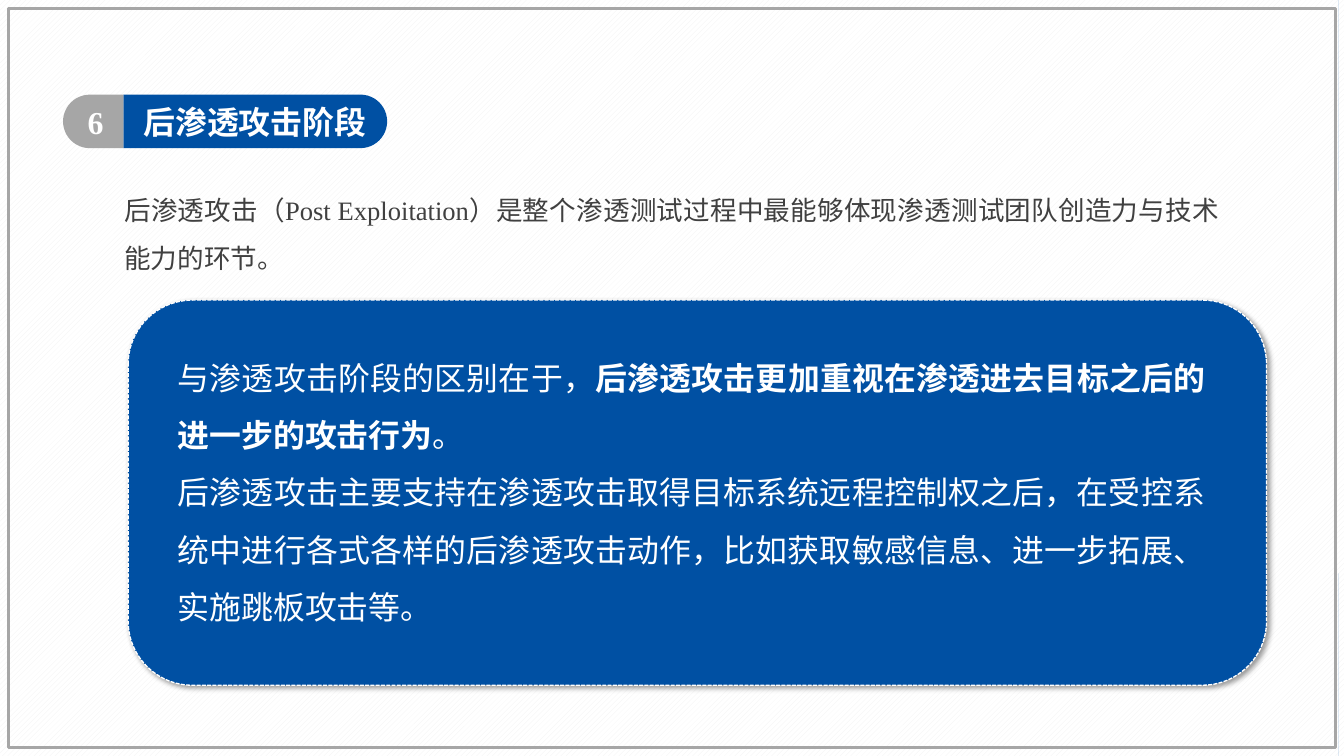
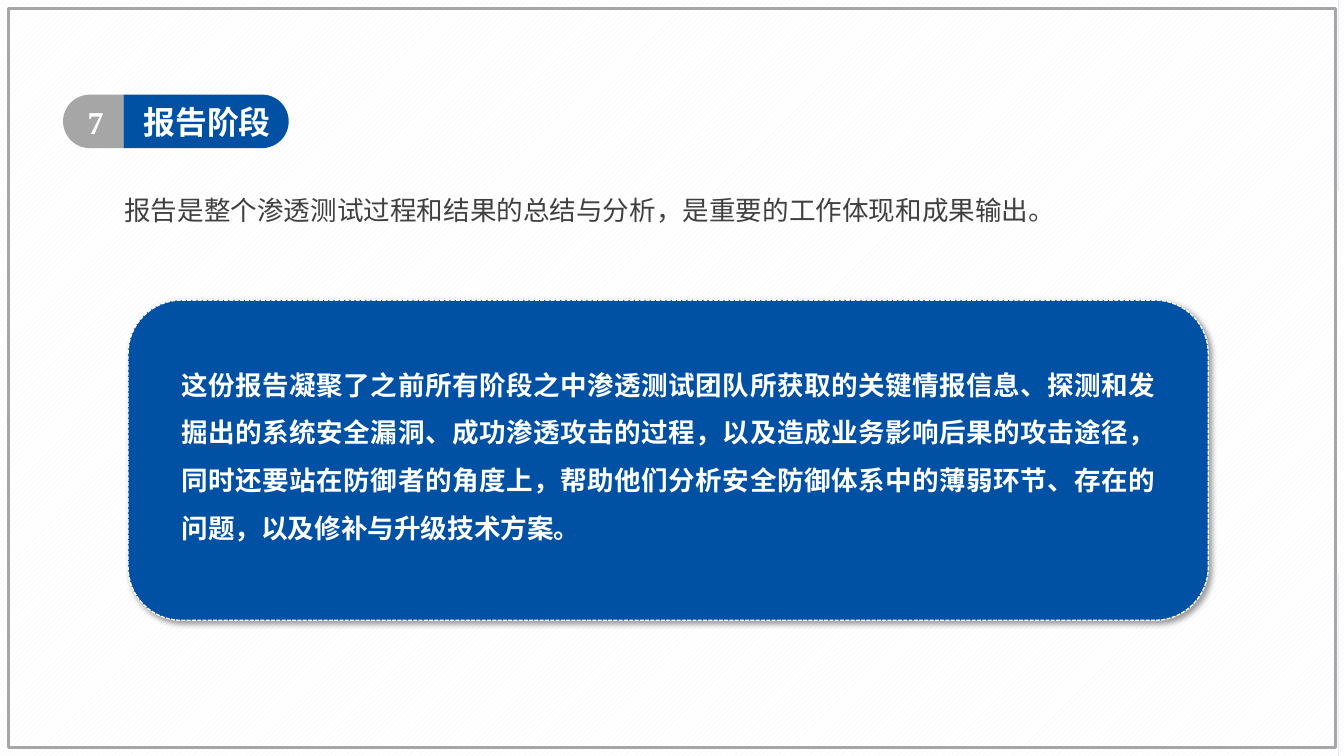
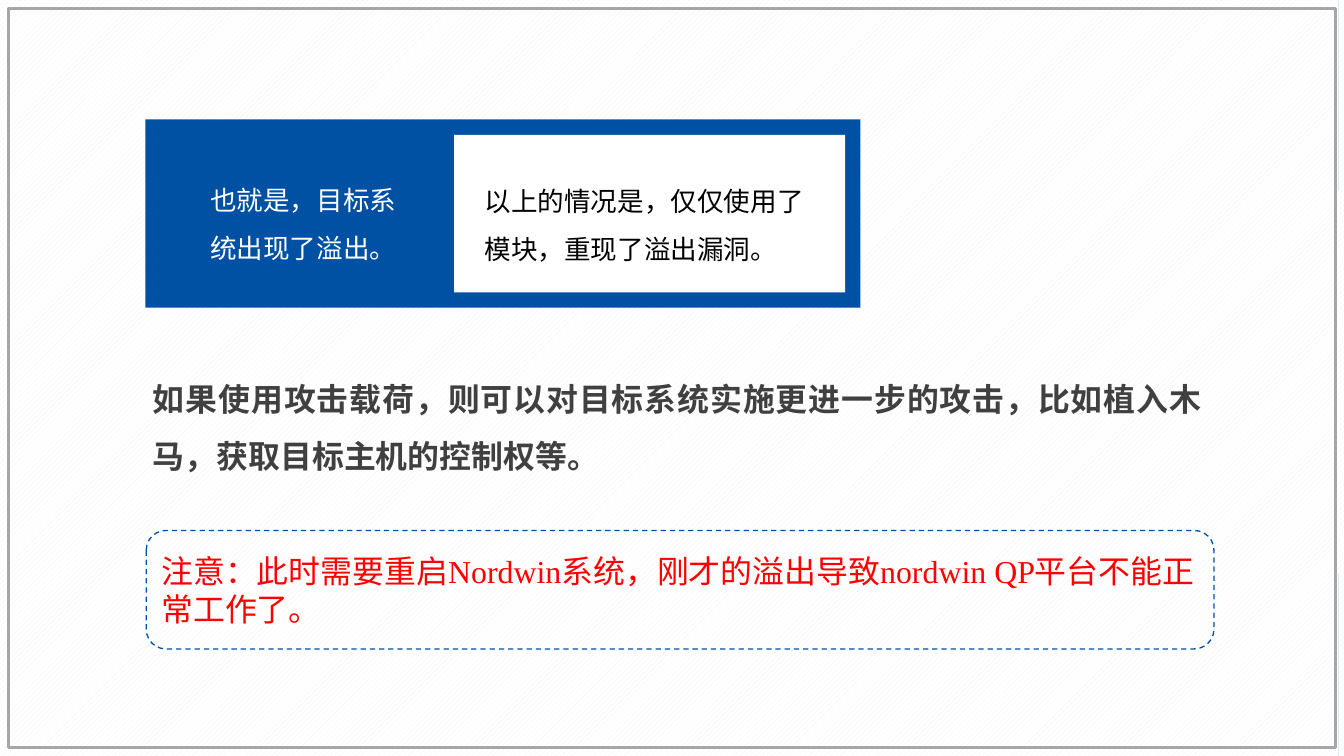
from lxml.etree import SubElement
from pptx import Presentation
from pptx.dml.color import RGBColor
from pptx.enum.dml import MSO_LINE, MSO_PATTERN
from pptx.enum.shapes import MSO_SHAPE
from pptx.enum.text import MSO_ANCHOR, MSO_AUTO_SIZE, PP_ALIGN
from pptx.oxml.ns import qn
from pptx.util import Inches, Pt

BLUE = RGBColor(0x00, 0x50, 0xA3)
GRAY = RGBColor(0xA6, 0xA6, 0xA6)
STRIPE = RGBColor(0xF2, 0xF2, 0xF2)
DARK = RGBColor(0x40, 0x40, 0x40)
WHITE = RGBColor(0xFF, 0xFF, 0xFF)
BLACK = RGBColor(0x00, 0x00, 0x00)
RED = RGBColor(0xFF, 0x00, 0x00)

WIDTH, HEIGHT = 14.06, 7.91
SERIF, SANS = "Times New Roman", "Noto Sans CJK SC"
CORNER = [(0, 0), (2.39, 0), (2.27, 0.12), (0.12, 0.12), (0.12, 1.6), (0, 1.71)]

BADGE_BOX = (0.66, 0.99, 0.63, 0.56)
BADGE_INSETS = (0.15, 0.08)
BODY_INSETS = (0.1, 0.05)
HEADING = {"size": Pt(24), "bold": True, "name": SERIF}
SERIF_TEXT = {"size": Pt(20), "bold": False, "name": SERIF}
SANS_TEXT = {"size": Pt(20), "bold": False, "name": SANS}
SINGLE = {"alignment": PP_ALIGN.LEFT, "line_spacing": 1.0, "space_before": Pt(0)}
LOOSE = {**SINGLE, "line_spacing": 1.5}
JUSTIFIED = {**LOOSE, "alignment": PP_ALIGN.JUSTIFY}


def set_attributes(target, values):
    """Set each named attribute of the target."""
    for name, value in values.items():
        setattr(target, name, value)


def place(shape, box):
    """Move and size a shape to a box in inches."""
    names = ("left", "top", "width", "height")
    set_attributes(shape, dict(zip(names, map(Inches, box))))


def write(shape, paragraphs, font, color, layout, insets=BODY_INSETS, anchor=MSO_ANCHOR.TOP):
    """Fill a shape with paragraphs, each a list of (text, bold) runs or one string."""
    frame = shape.text_frame
    side, end = map(Inches, insets)
    set_attributes(frame, {
        "word_wrap": True, "auto_size": MSO_AUTO_SIZE.NONE, "vertical_anchor": anchor,
        "margin_left": side, "margin_right": side, "margin_top": end, "margin_bottom": end,
    })
    for index, runs in enumerate(paragraphs):
        paragraph = frame.paragraphs[0] if index == 0 else frame.add_paragraph()
        set_attributes(paragraph, layout)
        for text, bold in [(runs, font["bold"])] if isinstance(runs, str) else runs:
            run = paragraph.add_run()
            run.text = text
            set_attributes(run.font, {**font, "bold": bold})
            run.font.color.rgb = color
            properties = run._r.get_or_add_rPr()
            properties.set("lang", "zh-CN")
            SubElement(properties, qn("a:ea")).set("typeface", SANS)


def add_text(slide, box, paragraphs, font, color, layout, insets=BODY_INSETS):
    """Add a text box."""
    shape = slide.shapes.add_textbox(*map(Inches, box))
    write(shape, paragraphs, font, color, layout, insets)


def paint(shape, fill=None, line=None):
    """Give a shape a flat fill and an outline of (color, points, dash)."""
    shape.shadow.inherit = False
    if fill is None:
        shape.fill.background()
    else:
        shape.fill.solid()
        shape.fill.fore_color.rgb = fill
    if line is None:
        shape.line.fill.background()
    else:
        color, points, dash = line
        shape.line.color.rgb = color
        set_attributes(shape.line, {"width": Pt(points), "dash_style": dash})


def add_panel(slide, kind, box, fill=None, line=None):
    """Add a painted preset shape."""
    shape = slide.shapes.add_shape(kind, *map(Inches, box))
    paint(shape, fill, line)
    return shape


def decorate_master(master, slide):
    """Give the master its striped background, thin frame and four corners."""
    fill = master.background.fill
    fill.patterned()
    fill.pattern = MSO_PATTERN.WIDE_UPWARD_DIAGONAL
    fill.fore_color.rgb, fill.back_color.rgb = STRIPE, WHITE
    frame_box = (0.09, 0.09, WIDTH - 0.18, HEIGHT - 0.18)
    parts = [add_panel(slide, MSO_SHAPE.RECTANGLE, frame_box, line=(GRAY, 2, MSO_LINE.SOLID))]
    for right in (False, True):
        for bottom in (False, True):
            points = [(WIDTH - x if right else x, HEIGHT - y if bottom else y) for x, y in CORNER]
            builder = slide.shapes.build_freeform(*points[0], scale=Inches(1))
            builder.add_line_segments(points[1:], close=True)
            corner = builder.convert_to_shape()
            paint(corner, BLUE)
            parts.append(corner)
    for index, part in enumerate(parts, start=2):
        master.shapes.element.insert(index, part.element)


def add_half_pill(slide, box, rotation, fill):
    """Add a bar rounded at one end, turned to lie in the box."""
    left, top, width, height = box
    turned = (left + (width - height) / 2, top + (height - width) / 2, height, width)
    shape = add_panel(slide, MSO_SHAPE.ROUND_2_SAME_RECTANGLE, turned, fill)
    shape.rotation = rotation
    shape.adjustments[0], shape.adjustments[1] = 0.5, 0


def add_heading(slide, box, number, title, title_width):
    """Add the numbered badge and the title beside it."""
    left, top, width, height = box
    add_half_pill(slide, (left + width, top, title_width, height), 90, BLUE)
    add_half_pill(slide, box, 270, GRAY)
    placeholder = slide.shapes.title
    slide.shapes.element.append(placeholder.element)
    place(placeholder, (left + width + 0.06, top, 2.69, height))
    write(placeholder, [title], HEADING, WHITE, SINGLE, BADGE_INSETS)
    centered = {**SINGLE, "alignment": PP_ALIGN.CENTER}
    add_text(slide, (left + 0.04, top, 0.6, height), [number], HEADING, WHITE, centered, BADGE_INSETS)


def fill_body(slide, box, text, font):
    """Put an unbulleted paragraph in the body placeholder."""
    placeholder = slide.placeholders[1]
    place(placeholder, box)
    write(placeholder, [text], font, DARK, JUSTIFIED)
    for paragraph in placeholder.text_frame.paragraphs:
        properties = paragraph._p.get_or_add_pPr()
        properties.set("marL", "0")
        properties.set("indent", "0")
        SubElement(properties, qn("a:buNone"))


def add_card(slide, box, text_box, paragraphs, font):
    """Add a shadowed blue card with text placed relative to its corner."""
    card = add_panel(slide, MSO_SHAPE.ROUNDED_RECTANGLE, box, BLUE, (WHITE, 1, MSO_LINE.SQUARE_DOT))
    effects = card.element.spPr.find(qn("a:effectLst"))
    shadow = SubElement(effects, qn("a:outerShdw"), blurRad=str(Pt(4)), dist=str(Pt(3)),
                        dir="2700000", algn="tl", rotWithShape="0")
    color = SubElement(shadow, qn("a:srgbClr"), val=str(BLACK))
    SubElement(color, qn("a:alpha"), val="40000")
    left, top, width, height = text_box
    add_text(slide, (box[0] + left, box[1] + top, width, height), paragraphs, font, WHITE, JUSTIFIED)


def add_comparison(slide, box, label, detail):
    """Add a blue band with a label and a white inset with the detail."""
    left, top, width, height = box
    gap, inset_width = 0.16, 4.09
    inset_left = left + width - gap - inset_width
    add_panel(slide, MSO_SHAPE.RECTANGLE, box, BLUE)
    add_text(slide, (left + 0.58, top + 0.46, 2.4, 1.05), [label], SANS_TEXT, WHITE, LOOSE)
    add_panel(slide, MSO_SHAPE.RECTANGLE, (inset_left, top + gap, inset_width, height - 2 * gap), WHITE)
    add_text(slide, (inset_left + 0.22, top + 0.47, 3.65, 1.06), [detail], SANS_TEXT, BLACK, LOOSE)


def add_note(slide, box, text):
    """Add a dashed frame with a red warning."""
    note = add_panel(slide, MSO_SHAPE.ROUNDED_RECTANGLE, box, line=(BLUE, 1, MSO_LINE.DASH))
    font = {**SERIF_TEXT, "size": Pt(24)}
    write(note, [text], font, RED, SINGLE, anchor=MSO_ANCHOR.MIDDLE)


def build_stage(slide, number, title, title_width, lead, card):
    """Build a stage slide from heading, lead paragraph and card."""
    add_heading(slide, BADGE_BOX, number, title, title_width)
    fill_body(slide, (1.2, 1.81, 11.65, 1.05), lead, SERIF_TEXT)
    add_card(slide, **card)


def build_summary(slide):
    """Build the slide on overflow results and the warning."""
    title = slide.shapes.title.element
    title.getparent().remove(title)
    add_comparison(slide, (1.52, 1.25, 7.48, 1.97), "也就是，目标系统出现了溢出。",
                   "以上的情况是，仅仅使用了模块，重现了溢出漏洞。")
    fill_body(slide, (1.5, 3.72, 11.17, 1.24),
              "如果使用攻击载荷，则可以对目标系统实施更进一步的攻击，比如植入木马，获取目标主机的控制权等。",
              {"size": Pt(24), "bold": True, "name": SANS})
    add_note(slide, (1.53, 5.55, 11.17, 1.24),
             "注意：此时需要重启Nordwin系统，刚才的溢出导致nordwin QP平台不能正常工作了。")


STAGES = [
    {
        "number": "6", "title": "后渗透攻击阶段", "title_width": 2.76,
        "lead": "后渗透攻击（Post Exploitation）是整个渗透测试过程中最能够体现渗透测试团队创造力与技术能力的环节。",
        "card": {
            "box": (1.34, 3.14, 11.91, 4.03), "text_box": (0.42, 0.36, 10.95, 3.06),
            "font": {**SERIF_TEXT, "size": Pt(24)},
            "paragraphs": [
                [("与渗透攻击阶段的区别在于，", False),
                 ("后渗透攻击更加重视在渗透进去目标之后的进一步的攻击行为", True), ("。", False)],
                "后渗透攻击主要支持在渗透攻击取得目标系统远程控制权之后，在受控系统中进行各式各样的后渗透攻击动作，"
                "比如获取敏感信息、进一步拓展、实施跳板攻击等。",
            ],
        },
    },
    {
        "number": "7", "title": "报告阶段", "title_width": 1.73,
        "lead": "报告是整个渗透测试过程和结果的总结与分析，是重要的工作体现和成果输出。",
        "card": {
            "box": (1.34, 3.14, 11.3, 3.35), "text_box": (0.46, 0.5, 10.39, 2.06),
            "font": {**SERIF_TEXT, "bold": True},
            "paragraphs": [
                "这份报告凝聚了之前所有阶段之中渗透测试团队所获取的关键情报信息、探测和发掘出的系统安全漏洞、"
                "成功渗透攻击的过程，以及造成业务影响后果的攻击途径，同时还要站在防御者的角度上，"
                "帮助他们分析安全防御体系中的薄弱环节、存在的问题，以及修补与升级技术方案。",
            ],
        },
    },
]


def main():
    """Build and save the presentation."""
    presentation = Presentation()
    presentation.slide_width, presentation.slide_height = Inches(WIDTH), Inches(HEIGHT)
    layout = presentation.slide_layouts[1]
    slides = [presentation.slides.add_slide(layout) for _ in range(3)]
    decorate_master(presentation.slide_master, slides[0])
    for slide, stage in zip(slides, STAGES):
        build_stage(slide, **stage)
    build_summary(slides[-1])
    presentation.save("out.pptx")


if __name__ == "__main__":
    main()
